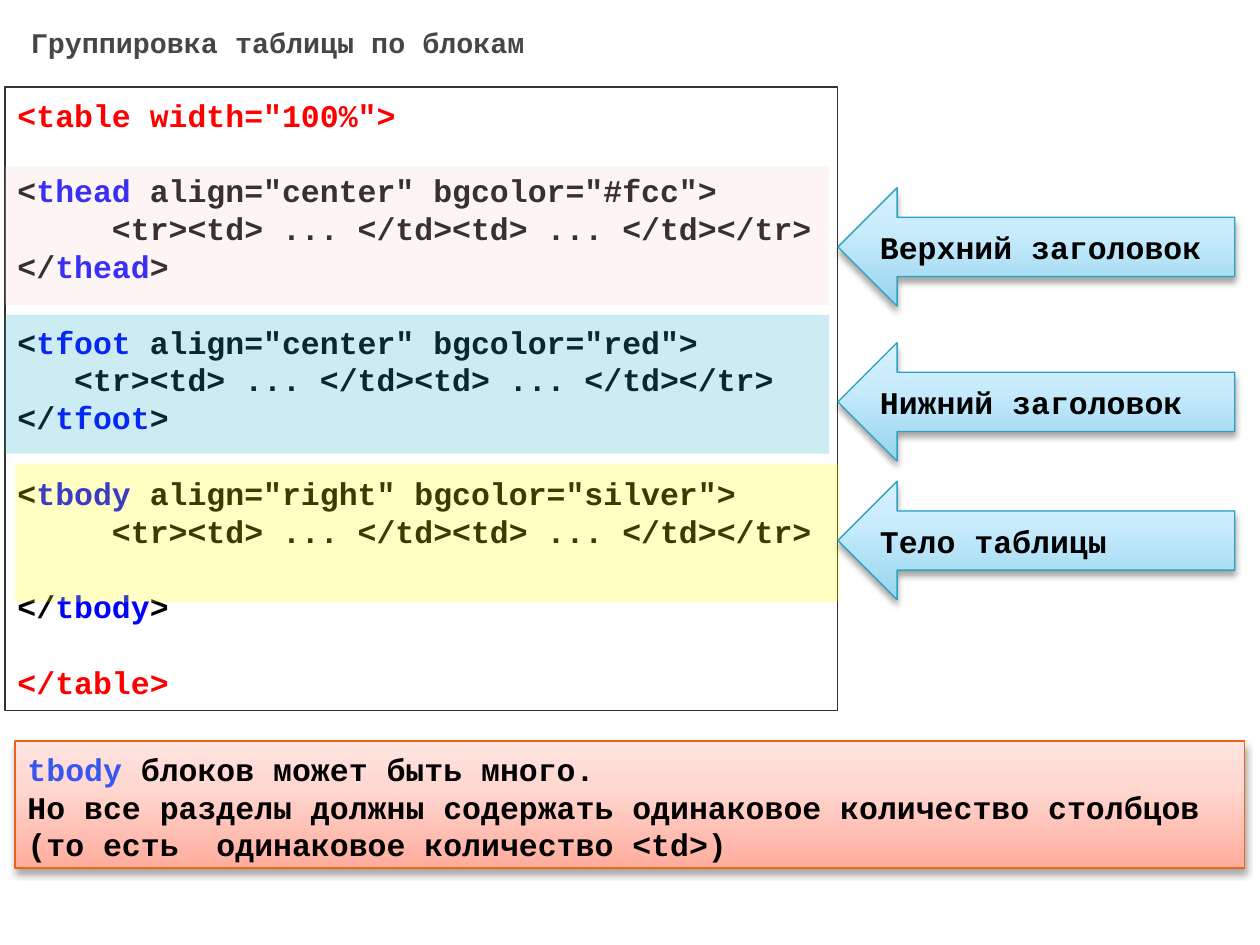
from lxml import etree
from pptx import Presentation
from pptx import util as u
from pptx.dml.color import RGBColor
from pptx.enum import shapes, text
from pptx.oxml.ns import qn

FONT = "Courier New"
CODE_SIZE = 18
LINE_PITCH = 21.6
CHARACTER_WIDTH = 0.15
BLACK, RED, BLUE = "000000", "FF0000", "0000FF"
ARROW_STOPS = [(0, "96D4EE"), (65, "C9ECFC"), (100, "D7F2FF")]
NOTE_STOPS = [(0, "FFAC9C"), (65, "FFD8D2"), (100, "FFE4DF")]
ROW = "<tr><td> ... </td><td> ... </td></tr>"


def rgb(value):
    """Turn a hex string into a colour."""
    return RGBColor.from_string(value)


def add_box(slide, kind, left, top, width, height, line=None):
    """Add an unfilled preset shape without a shadow."""
    shape = slide.shapes.add_shape(
        kind, u.Inches(left), u.Inches(top), u.Inches(width), u.Inches(height)
    )
    shape.shadow.inherit = False
    shape.fill.background()
    if line:
        shape.line.color.rgb = rgb(line)
        shape.line.width = u.Pt(0.75)
    else:
        shape.line.fill.background()
    return shape


def add_colour(parent, value, alpha=None):
    """Append a colour element, with opacity in percent if given."""
    colour = etree.SubElement(parent, qn("a:srgbClr"), val=value)
    if alpha is not None:
        etree.SubElement(colour, qn("a:alpha"), val=str(alpha * 1000))


def add_gradient(shape, stops):
    """Fill a shape with a gradient that runs from bottom to top."""
    properties = shape.element.spPr
    gradient = etree.Element(qn("a:gradFill"), rotWithShape="1")
    stop_list = etree.SubElement(gradient, qn("a:gsLst"))
    for position, value in stops:
        stop = etree.SubElement(stop_list, qn("a:gs"), pos=str(position * 1000))
        add_colour(stop, value)
    etree.SubElement(gradient, qn("a:lin"), ang="16200000", scaled="0")
    properties.replace(properties.find(qn("a:noFill")), gradient)


def add_shadow(shape):
    """Give a shape a soft shadow below it."""
    effects = shape.element.spPr.find(qn("a:effectLst"))
    shadow = etree.SubElement(
        effects, qn("a:outerShdw"), blurRad=str(u.Pt(4)), dist=str(u.Pt(3)),
        dir="5400000", rotWithShape="0",
    )
    add_colour(shadow, BLACK, 35)


def write_lines(shape, lines, size=CODE_SIZE, anchor=text.MSO_ANCHOR.TOP,
                align=text.PP_ALIGN.LEFT):
    """Write lines of (gap, indent, runs), gap in lines and indent in characters."""
    frame = shape.text_frame
    frame.word_wrap = True
    frame.vertical_anchor = anchor
    for index, (gap, indent, runs) in enumerate(lines):
        paragraph = frame.add_paragraph() if index else frame.paragraphs[0]
        paragraph.alignment = align
        paragraph.line_spacing = u.Pt(LINE_PITCH)
        paragraph.space_before = u.Pt(gap * LINE_PITCH)
        if indent:
            properties = paragraph._p.get_or_add_pPr()
            properties.set("marL", str(u.Inches(indent * CHARACTER_WIDTH)))
            properties.set("indent", "0")
        for wording, colour in runs:
            run = paragraph.add_run()
            run.text = wording
            run.font.name = FONT
            run.font.size = u.Pt(size)
            run.font.bold = True
            run.font.color.rgb = rgb(colour)


def block_lines(tag, attributes, indent, closing_gap=0):
    """Return the code lines of one table section."""
    return [
        (1, 0, [("<", BLACK), (tag, BLUE), (f" {attributes}>", BLACK)]),
        (0, indent, [(ROW, BLACK)]),
        (closing_gap, 0, [("</", BLACK), (tag, BLUE), (">", BLACK)]),
    ]


def add_title(slide):
    """Add the slide heading."""
    title = add_box(slide, shapes.MSO_SHAPE.RECTANGLE, 0.04, 0.11, 4.46, 0.42)
    write_lines(title, [(0, 0, [("Группировка таблицы по блокам ", "464646")])],
                16.2, text.MSO_ANCHOR.MIDDLE, text.PP_ALIGN.CENTER)


def add_code(slide):
    """Add the framed HTML listing."""
    code = add_box(slide, shapes.MSO_SHAPE.RECTANGLE, 0.04, 0.69, 6.61, 4.95, "333333")
    code.text_frame.margin_top = u.Inches(0.07)
    write_lines(code, [
        (0, 0, [('<table width="100%">', RED)]),
        *block_lines("thead", 'align="center" bgcolor="#fcc"', 5),
        *block_lines("tfoot", 'align="center" bgcolor="red"', 3),
        *block_lines("tbody", 'align="right" bgcolor="silver"', 5, 1),
        (1, 0, [("</table>", RED)]),
    ])


def add_highlight(slide, left, top, colour):
    """Tint one section of the listing."""
    band = add_box(slide, shapes.MSO_SHAPE.RECTANGLE, left, top, 6.54, 1.1)
    band.fill.solid()
    band.fill.fore_color.rgb = rgb(colour)
    fill = band.element.spPr.find(qn("a:solidFill"))
    etree.SubElement(fill[0], qn("a:alpha"), val="23000")


def add_arrow(slide, top, label):
    """Add a labelled arrow that points at a section."""
    arrow = add_box(slide, shapes.MSO_SHAPE.LEFT_ARROW, 6.65, top, 3.15, 0.94, "2DA2BF")
    add_gradient(arrow, ARROW_STOPS)
    add_shadow(arrow)
    write_lines(arrow, [(0, 0, [(label, BLACK)])], anchor=text.MSO_ANCHOR.MIDDLE)


def add_note(slide):
    """Add the remark below the listing."""
    note = add_box(slide, shapes.MSO_SHAPE.RECTANGLE, 0.12, 5.88, 9.76, 1.01, "EB641B")
    add_gradient(note, NOTE_STOPS)
    add_shadow(note)
    note.text_frame.margin_top = u.Inches(0.07)
    write_lines(note, [
        (0, 0, [("tbody ", "3756F2"), ("блоков может быть много.", BLACK)]),
        (0, 0, [("Но все разделы должны содержать одинаковое количество столбцов", BLACK)]),
        (0, 0, [("(то есть  одинаковое количество <td>)", BLACK)]),
    ])


def main():
    """Build the slide and save it."""
    presentation = Presentation()
    presentation.slide_width = u.Inches(10)
    presentation.slide_height = u.Inches(7.5)
    slide = presentation.slides.add_slide(presentation.slide_layouts[6])
    add_title(slide)
    add_code(slide)
    for left, top, colour, arrow_top, label in [
        (0.04, 1.32, "F9D1D3", 1.49, "Верхний заголовок"),
        (0.04, 2.5, "1FAECD", 2.72, "Нижний заголовок"),
        (0.12, 3.68, "FFFF00", 3.82, "Тело таблицы"),
    ]:
        add_highlight(slide, left, top, colour)
        add_arrow(slide, arrow_top, label)
    add_note(slide)
    presentation.save("out.pptx")


if __name__ == "__main__":
    main()
